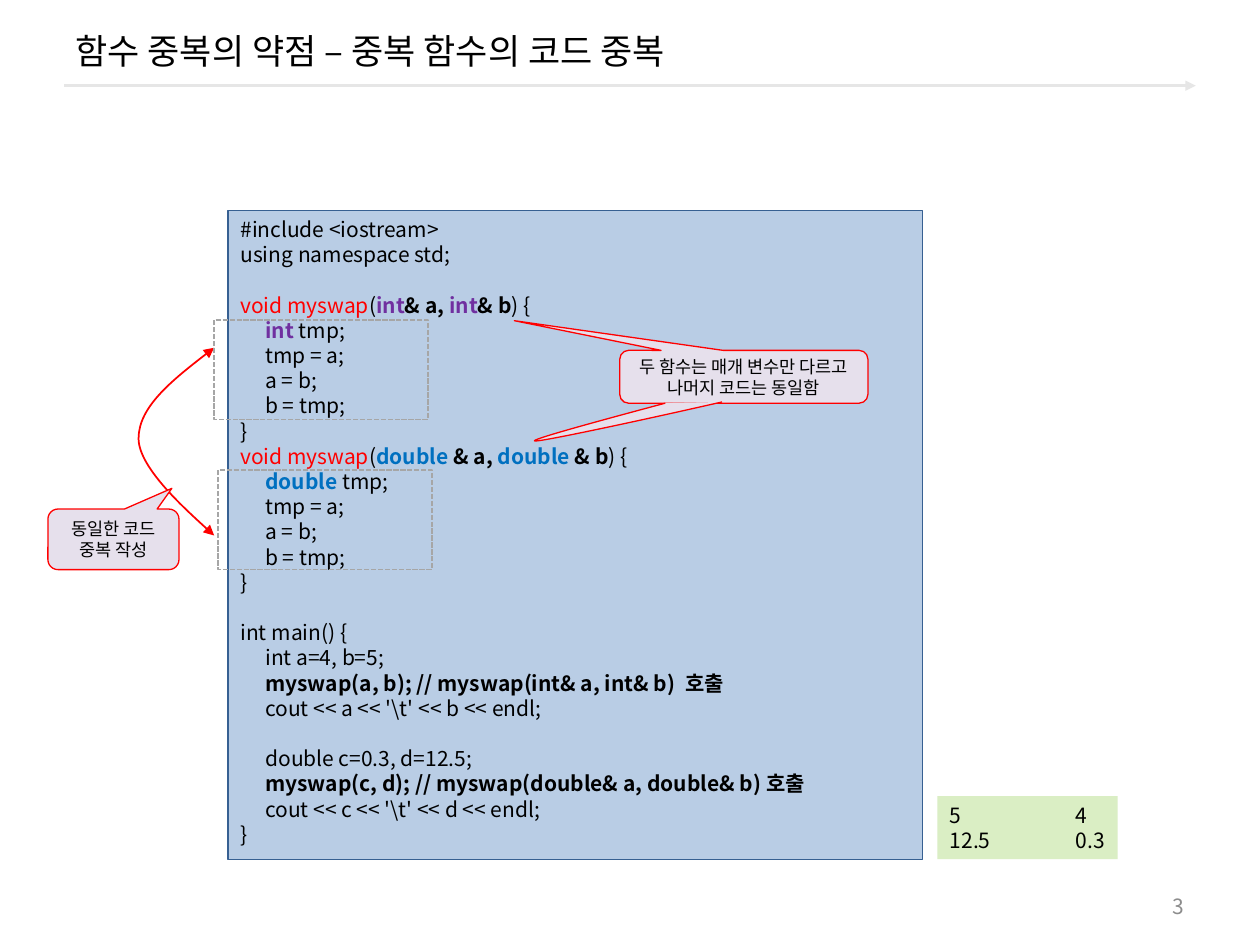
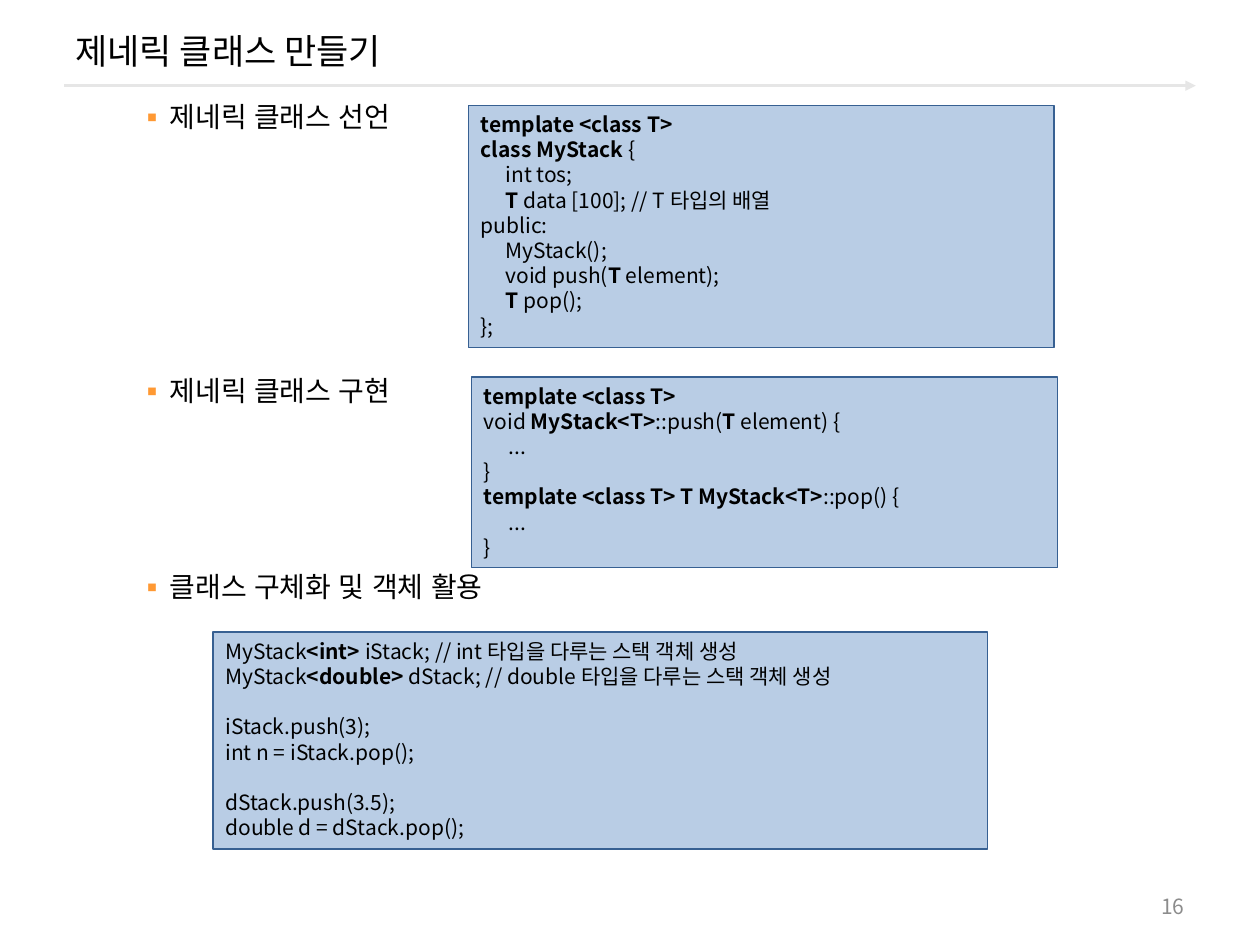
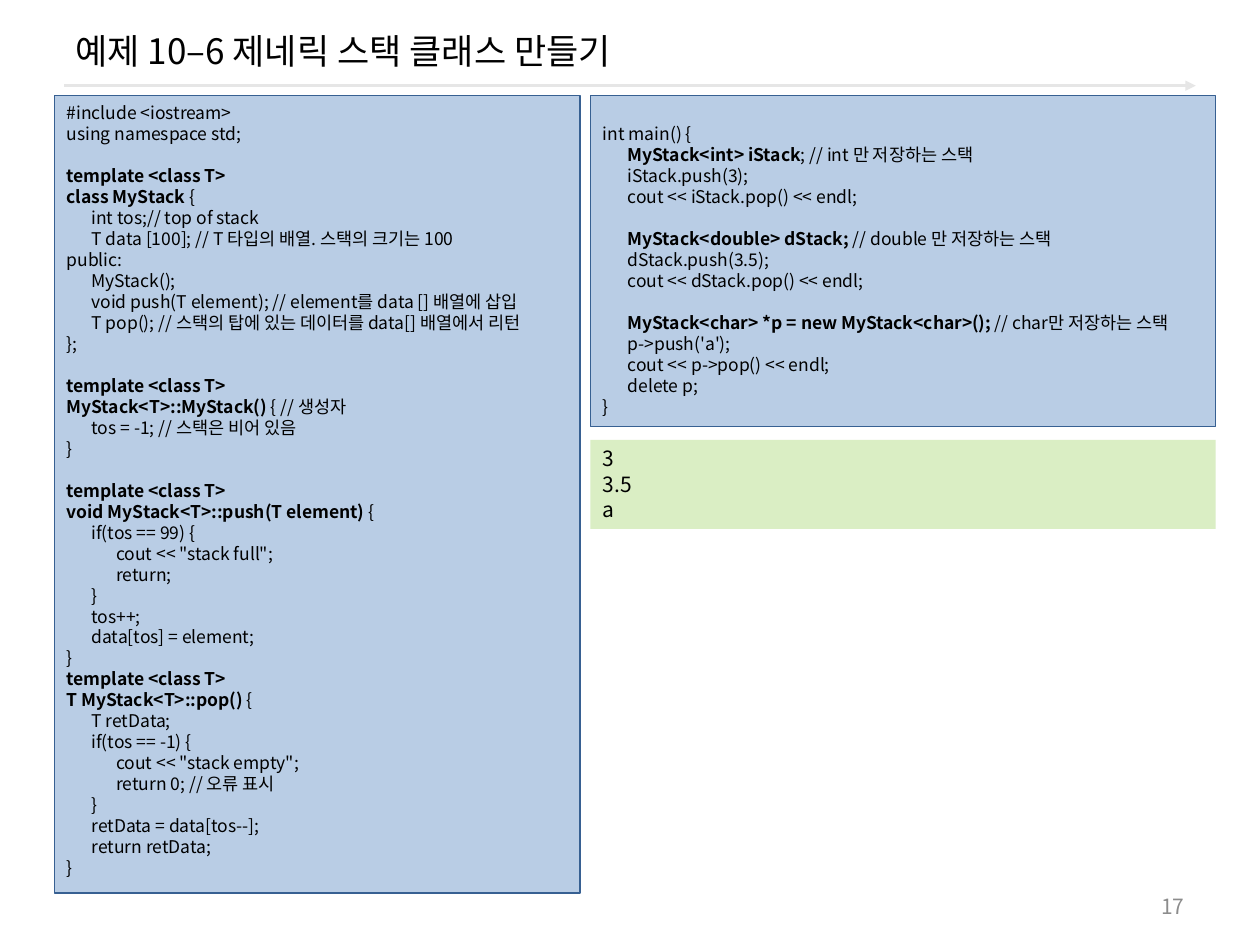
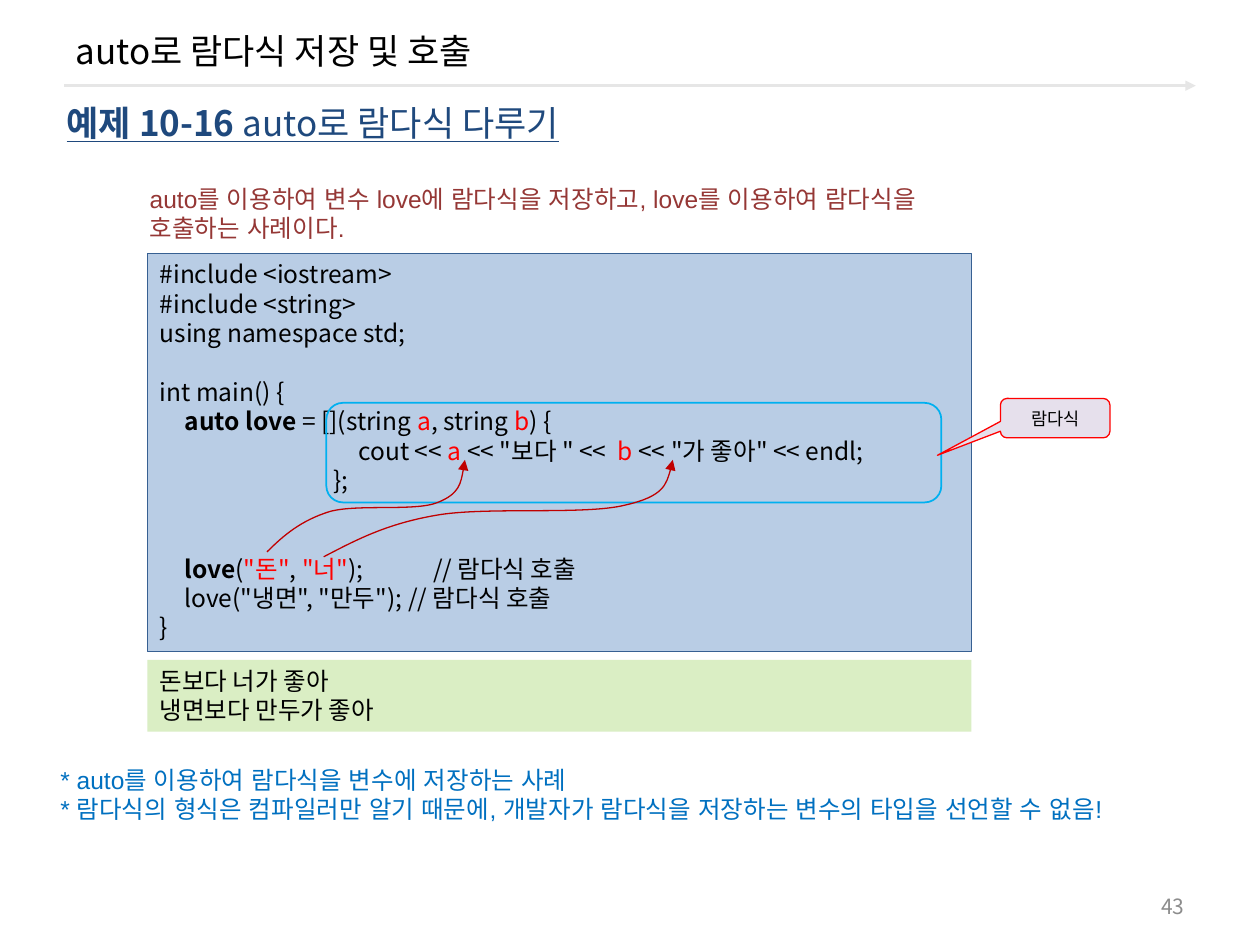
from typing import NamedTuple

from lxml.etree import SubElement
from pptx import Presentation
from pptx.dml.color import RGBColor as Rgb
from pptx.enum.dml import MSO_LINE as Dash
from pptx.enum.shapes import MSO_CONNECTOR as Conn, MSO_SHAPE as Geo
from pptx.enum.text import MSO_ANCHOR as Anchor, PP_ALIGN as Align
from pptx.oxml.ns import qn
from pptx.util import Pt

COLORS = {
    "ink": "000000", "rule": "E6E6E6", "page": "8C8C8C", "code": "B9CDE5",
    "code_edge": "376092", "output": "DAEEC4", "callout": "E6E0EC",
    "red": "FF0000", "dark_red": "C00000", "purple": "7030A0",
    "blue": "0070C0", "cyan": "00B0F0", "grey": "A6A6A6",
    "bullet": "FF9933", "brown": "953735", "navy": "1F497D",
}
NOTO, ARIAL = "Noto Sans CJK KR", "Arial"
LINE_HEIGHT = 1.2
CODE_TAB, OUTPUT_TAB, TAB_STOPS = 14.2, 72, 16

# Text formats: font, size, colour, alignment and anchor of a whole frame
FORMATS = {
    "title": {"size": 20, "anchor": Anchor.MIDDLE},
    "page": {"size": 12, "color": "page", "align": Align.RIGHT,
             "anchor": Anchor.MIDDLE},
    "heading": {"size": 20, "color": "navy", "anchor": Anchor.MIDDLE,
                "font": {"underline": True}},
    "topics": {"size": 16, "name": ARIAL},
    "intro": {"size": 14, "name": ARIAL, "color": "brown"},
    "remarks": {"size": 14, "name": ARIAL, "color": "blue"},
    "callout": {"size": 10, "align": Align.CENTER, "anchor": Anchor.MIDDLE},
    "small": {"size": 10, "tab": CODE_TAB},
    "medium": {"size": 12, "tab": CODE_TAB},
    "large": {"size": 14, "tab": CODE_TAB},
    "result": {"size": 12, "tab": OUTPUT_TAB},
    "large_result": {"size": 14, "tab": OUTPUT_TAB},
}

# Run marks: § and one letter switch the style; → stands for a tab
MARKS = {
    "n": ({}, None),
    "b": ({"bold": True}, None),
    "r": ({}, "red"),
    "p": ({"bold": True}, "purple"),
    "d": ({"bold": True}, "blue"),
}


class Box(NamedTuple):
    x: float
    y: float
    w: float
    h: float

    def area(self, dx, dy, w, h):
        return Box(self.x + dx, self.y + dy, w, h)

    def emu(self):
        return [Pt(v) for v in self]


PAGE = Box(0, 0, 720, 540)


def rgb(key):
    return Rgb.from_string(COLORS[key])


def set_all(target, values):
    for key, value in values.items():
        setattr(target, key, value)


# ---- text ----
def add_run(paragraph, text, form, mark="n"):
    extra, color = MARKS[mark]
    run = paragraph.add_run()
    run.text = text.replace("→", "\t")
    name = form.get("name", NOTO)
    set_all(run.font, {"name": name, "size": Pt(form["size"]), "bold": False,
                       **form.get("font", {}), **extra})
    run.font.color.rgb = rgb(color or form.get("color", "ink"))
    SubElement(run.font._element, qn("a:ea"), typeface=name)


def add_tabs(paragraph, step):
    stops = SubElement(paragraph._p.get_or_add_pPr(), qn("a:tabLst"))
    for n in range(1, TAB_STOPS + 1):
        SubElement(stops, qn("a:tab"), pos=str(Pt(step * n)), algn="l")


def write(shape, text, style):
    """Fill a frame; an empty line becomes space above the next one."""
    form = FORMATS[style]
    frame = shape.text_frame
    set_all(frame, {"word_wrap": True,
                    "vertical_anchor": form.get("anchor", Anchor.TOP)})
    line_height = form["size"] * LINE_HEIGHT
    gap, paragraph = 0, None
    for line in text.split("\n"):
        if not line:
            gap += line_height
            continue
        if paragraph is None:
            paragraph = frame.paragraphs[0]
            frame.margin_top = Pt(3.6 + gap)
            gap = 0
        else:
            paragraph = frame.add_paragraph()
        set_all(paragraph, {"alignment": form.get("align", Align.LEFT),
                            "line_spacing": Pt(line_height),
                            "space_before": Pt(gap)})
        gap = 0
        if "tab" in form:
            add_tabs(paragraph, form["tab"])
        plain, *marked = line.split("§")
        if plain:
            add_run(paragraph, plain, form)
        for piece in marked:
            add_run(paragraph, piece[1:], form, piece[0])


def add_label(slide, box, text, style):
    label = slide.shapes.add_textbox(*box.emu())
    write(label, text, style)
    return label


# ---- shapes ----
def paint(shape, fill=None, line=None, width=0.75):
    shape.shadow.inherit = False
    for surface, key in ((shape.fill, fill), (shape.line.fill, line)):
        if key:
            surface.solid()
            surface.fore_color.rgb = rgb(key)
        else:
            surface.background()
    if line:
        shape.line.width = Pt(width)


def add_panel(slide, box, fill=None, line=None, width=0.75, geo=Geo.RECTANGLE):
    panel = slide.shapes.add_shape(geo, *box.emu())
    paint(panel, fill, line, width)
    return panel


def add_code(slide, box, text, style="medium"):
    write(add_panel(slide, box, "code", "code_edge"), text, style)


def add_output(slide, box, text, style="result"):
    write(add_panel(slide, box, "output"), text, style)


def add_callout(slide, box, text, tip):
    callout = add_panel(slide, box, "callout", "red",
                        geo=Geo.ROUNDED_RECTANGULAR_CALLOUT)
    for i, value in enumerate((*tip, 0.167)):
        callout.adjustments[i] = value
    write(callout, text, "callout")


def add_arrowheads(shape, *ends):
    line = shape.line._get_or_add_ln()
    for end in ends:
        SubElement(line, qn(f"a:{end}"), type="triangle")


def add_curve(slide, box, points, line, width=0.75, fill=None, ends=()):
    """Draw Bézier pieces: a start, then three points for each piece."""
    start, *rest = [(Pt(box.x + x), Pt(box.y + y)) for x, y in points]
    builder = slide.shapes.build_freeform(*start)
    builder.add_line_segments(rest, close=False)
    curve = builder.convert_to_shape()
    outline = curve._element.xpath(".//a:path")[0]
    legs = outline.findall(qn("a:lnTo"))
    for i in range(0, len(legs), 3):
        bend = SubElement(outline, qn("a:cubicBezTo"))
        for leg in legs[i:i + 3]:
            bend.append(leg[0])
            outline.remove(leg)
    paint(curve, fill, line, width)
    add_arrowheads(curve, *ends)


# ---- shared frame of every slide ----
def add_frame(slide, box, title, number):
    rule_y = Pt(box.y + 49)
    rule = slide.shapes.add_connector(Conn.STRAIGHT, Pt(box.x + 36.7), rule_y,
                                      Pt(box.x + 683.3), rule_y)
    rule.line.color.rgb = rgb("rule")
    rule.line.width = Pt(1.5)
    add_arrowheads(rule, "tailEnd")
    SubElement(rule._element.spPr, qn("a:effectLst"))
    add_label(slide, box.area(36, 5.8, 648, 46), title, "title")
    add_label(slide, box.area(516.2, 506.2, 167.8, 23), str(number), "page")


# ---- slide: duplicated code in overloaded functions ----
SWAP_CODE = r"""#include <iostream>
using namespace std;

§rvoid myswap§n(§pint§b& a, §pint§b& b§n) {
→§pint §ntmp;
→tmp = a;
→a = b;
→b = tmp;
}
§rvoid myswap§n(§ddouble§b & a, §ddouble§b & b§n) {
→§ddouble §ntmp;
→tmp = a;
→a = b;
→b = tmp;
}

int main() {
→int a=4, b=5;
→§bmyswap(a, b); // myswap(int& a, int& b)  호출
→cout << a << '\t' << b << endl;

→double c=0.3, d=12.5;
→§bmyswap(c, d); // myswap(double& a, double& b) 호출
→cout << c << '\t' << d << endl;
}"""


def overload_slide(slide, box):
    code = box.area(130.3, 120.2, 396.7, 370.8)
    add_code(slide, code, SWAP_CODE)
    # Callout with a second tip
    add_callout(slide, box.area(354.2, 200.2, 141.8, 30.2),
                "두 함수는 매개 변수만 다르고 나머지 코드는 동일함", (-0.925, -1.062))
    add_curve(slide, box, [(380.2, 230.4), (339.8, 241.2), (300.2, 252),
                           (306, 252), (311, 252), (362.2, 241.2),
                           (412.6, 229.7)], "red", fill="callout")
    # Link between the equal bodies
    add_curve(slide, box, [(122.4, 198.7), (100.8, 215.3), (79.2, 232.6),
                           (79.2, 250.6), (79.2, 267.8), (122.4, 306),
                           (122.4, 306)], "red", 1, ends=("headEnd", "tailEnd"))
    add_callout(slide, box.area(27.4, 290.9, 74.9, 34.6),
                "동일한 코드 중복 작성", (0.446, -0.843))
    for dx, dy in ((-8, 62.7), (-5.7, 148.4)):
        body = add_panel(slide, code.area(dx, dy, 122.4, 56.9),
                         line="grey", width=1)
        body.line.dash_style = Dash.SQUARE_DOT
    add_output(slide, box.area(535.7, 455, 103, 36), "5 →4\n12.5→0.3")


# ---- slide: making a generic class ----
TOPICS = (("제네릭 클래스 선언", 0), ("제네릭 클래스 구현", 6),
          ("클래스 구체화 및 객체 활용", 4))
DECLARATION = """§btemplate <class T>
§bclass MyStack §n{
→int tos;
→§bT§n data [100]; // T 타입의 배열
public:
→MyStack();
→void push(§bT§n element);
→§bT§n pop();
};"""
IMPLEMENTATION = """§btemplate <class T>
void §bMyStack<T>§n::push(§bT§n element) {
→...
}
§btemplate <class T> T MyStack<T>§n::pop() {
→...
}"""
USAGE = """MyStack§b<int> §niStack; // int 타입을 다루는 스택 객체 생성
MyStack§b<double> §ndStack; // double 타입을 다루는 스택 객체 생성

iStack.push(3);
int n = iStack.pop();

dStack.push(3.5);
double d = dStack.pop();"""


def add_topics(slide, box):
    label = add_label(slide, box, "\n".join(t for t, _ in TOPICS), "topics")
    spacing = 3.2
    row = FORMATS["topics"]["size"] * LINE_HEIGHT + spacing
    for paragraph, (_, rows) in zip(label.text_frame.paragraphs, TOPICS):
        paragraph.space_before = Pt(spacing + rows * row if rows else 0)
        props = paragraph._p.get_or_add_pPr()
        props.set("marL", str(Pt(90)))
        props.set("indent", str(Pt(-18)))
        color = SubElement(props, qn("a:buClr"))
        SubElement(color, qn("a:srgbClr"), val=COLORS["bullet"])
        SubElement(props, qn("a:buFont"), typeface=NOTO)
        SubElement(props, qn("a:buChar"), char="▪")


def generic_class_slide(slide, box):
    add_topics(slide, box.area(0, 53.3, 594, 433.4))
    add_code(slide, box.area(267.6, 60.2, 334.8, 138.5), DECLARATION)
    add_code(slide, box.area(269.4, 215.4, 334.8, 109), IMPLEMENTATION)
    add_code(slide, box.area(121.7, 361.2, 442.5, 124), USAGE)


# ---- slide: generic stack example ----
STACK_CODE = """#include <iostream>
using namespace std;

§btemplate <class T>
§bclass MyStack §n{
→int tos;// top of stack
→T data [100]; // T 타입의 배열. 스택의 크기는 100
public:
→MyStack();
→void push(T element); // element를 data [] 배열에 삽입
→T pop(); // 스택의 탑에 있는 데이터를 data[] 배열에서 리턴
};

§btemplate <class T>
§bMyStack<T>::MyStack() §n{ // 생성자
→tos = -1; // 스택은 비어 있음
}

§btemplate <class T>
§bvoid MyStack<T>::push(T element) §n{
→if(tos == 99) {
→→cout << "stack full";
→→return;
→}
→tos++;
→data[tos] = element;
}
§btemplate <class T>
§bT MyStack<T>::pop() §n{
→T retData;
→if(tos == -1) {
→→cout << "stack empty";
→→return 0; // 오류 표시
→}
→retData = data[tos--];
→return retData;
}"""
STACK_MAIN = """
int main() {
→§bMyStack<int> iStack§n; // int 만 저장하는 스택
→iStack.push(3);
→cout << iStack.pop() << endl;

→§bMyStack<double> dStack; §n// double 만 저장하는 스택
→dStack.push(3.5);
→cout << dStack.pop() << endl;

→§bMyStack<char> *p = new MyStack<char>(); §n// char만 저장하는 스택
→p->push('a');
→cout << p->pop() << endl;
→delete p;
}"""


def stack_slide(slide, box):
    add_code(slide, box.area(31, 54.7, 300.4, 455.6), STACK_CODE, "small")
    main_box = box.area(337.4, 54.7, 357.2, 189.2)
    add_code(slide, main_box, STACK_MAIN, "small")
    add_output(slide, main_box.area(0, 196.6, main_box.w, 51), "3\n3.5\na")


# ---- slide: lambda kept in an auto variable ----
LAMBDA_CODE = """#include <iostream>
#include <string>
using namespace std;

int main() {
→§bauto love §n= [](string §ra§n, string §rb§n) {
→→→→→→→→cout << §ra§n << "보다 " <<  §rb§n << "가 좋아" << endl;
→→→→→→→};


→§blove§n(§r"돈"§n, §r"너"§n); →→→// 람다식 호출
→love("냉면", "만두"); →// 람다식 호출
}"""
ARGUMENT_ARROWS = (
    [(152.6, 315.4), (162, 306), (172.1, 297.4), (188.6, 292.3),
     (204.5, 288), (236.9, 292.3), (249.8, 287.3),
     (262.8, 282.2), (264.2, 272.9), (265.7, 262.8)],
    [(185, 318.2), (203, 308.9), (220.3, 299.5), (249.1, 294.5),
     (277.2, 289.4), (334.1, 294.5), (357.1, 288.7),
     (379.4, 283.7), (382.3, 273.6), (384.5, 262.8)],
)


def lambda_slide(slide, box):
    add_label(slide, box.area(78.5, 101.5, 476, 41),
              "auto를 이용하여 변수 love에 람다식을 저장하고, "
              "love를 이용하여 람다식을 호출하는 사례이다.", "intro")
    code = box.area(84.2, 144.7, 470.9, 227.8)
    add_code(slide, code, LAMBDA_CODE, "large")
    # Lambda outline, its callout and the argument arrows
    add_panel(slide, code.area(102.3, 85.5, 351.4, 56.9), line="cyan",
              width=1, geo=Geo.ROUNDED_RECTANGLE)
    add_callout(slide, box.area(571.7, 227.7, 62.6, 22.5),
                "람다식", (-1.075, 0.944))
    for points in ARGUMENT_ARROWS:
        add_curve(slide, box, points, "dark_red", ends=("tailEnd",))
    add_output(slide, code.area(0, 232.4, code.w, 41),
               "돈보다 너가 좋아\n냉면보다 만두가 좋아", "large_result")
    add_label(slide, box.area(27.4, 433.4, 666.7, 41),
              "* auto를 이용하여 람다식을 변수에 저장하는 사례\n"
              "* 람다식의 형식은 컴파일러만 알기 때문에, "
              "개발자가 람다식을 저장하는 변수의 타입을 선언할 수 없음!", "remarks")
    add_label(slide, box.area(31, 43.2, 642.2, 53.3),
              "§b예제§n §b10-16§n auto로 람다식 다루기", "heading")


SLIDES = (
    ("함수 중복의 약점 – 중복 함수의 코드 중복", 3, overload_slide),
    ("제네릭 클래스 만들기", 16, generic_class_slide),
    ("예제 10–6 제네릭 스택 클래스 만들기", 17, stack_slide),
    ("auto로 람다식 저장 및 호출", 43, lambda_slide),
)


def main():
    deck = Presentation()
    set_all(deck, {"slide_width": Pt(PAGE.w), "slide_height": Pt(PAGE.h)})
    for title, number, fill_slide in SLIDES:
        slide = deck.slides.add_slide(deck.slide_layouts[6])
        add_frame(slide, PAGE, title, number)
        fill_slide(slide, PAGE)
    deck.save("out.pptx")


if __name__ == "__main__":
    main()
